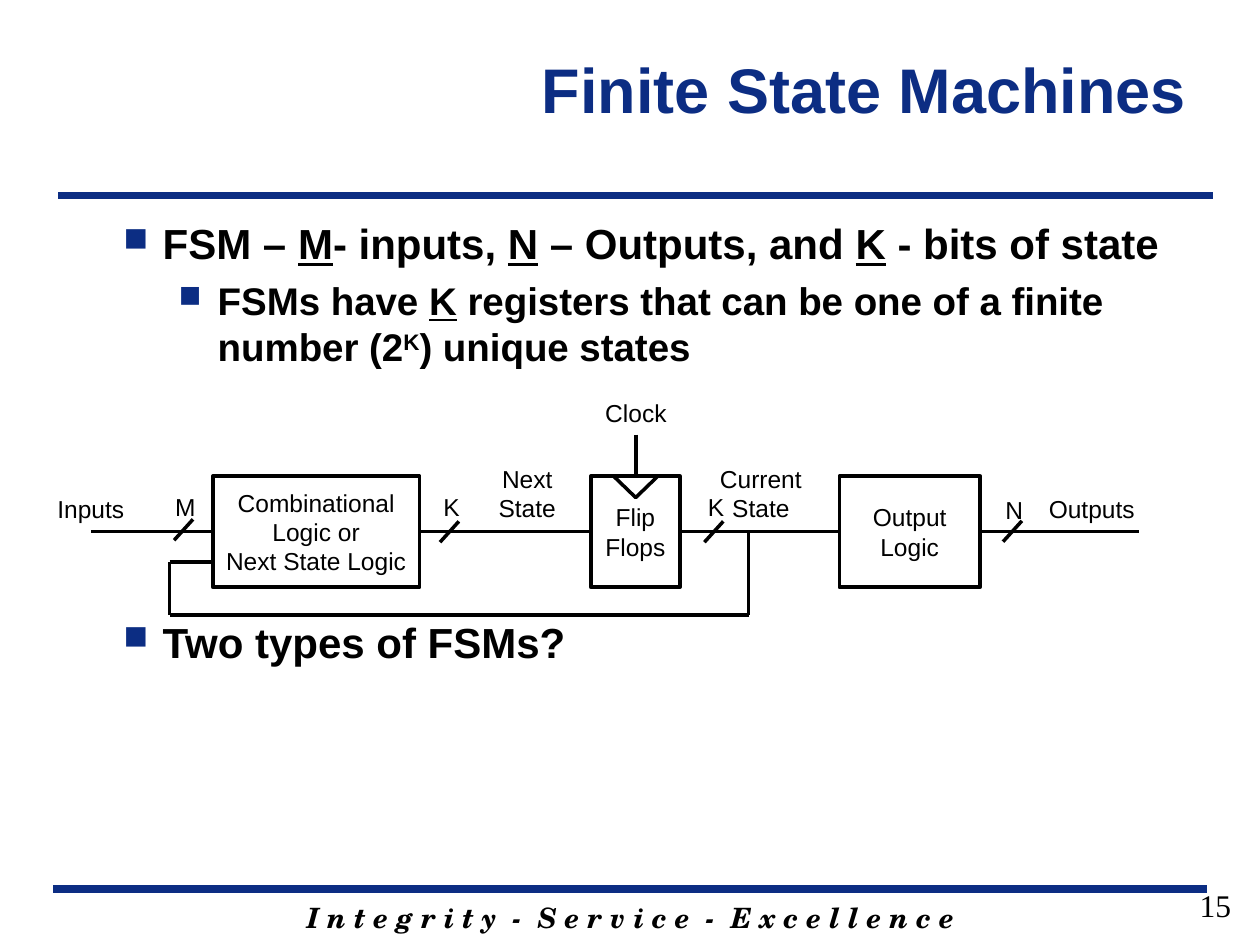
from dataclasses import dataclass
from itertools import pairwise

from lxml.etree import SubElement
from pptx import Presentation
from pptx.dml.color import RGBColor
from pptx.enum.shapes import MSO_CONNECTOR, MSO_SHAPE
from pptx.enum.text import MSO_ANCHOR, PP_ALIGN
from pptx.oxml.ns import qn
from pptx.util import Cm, Pt


@dataclass(frozen=True)
class Theme:
    """Colours, fonts and sizes of the slide."""
    navy: RGBColor = RGBColor(0x0C, 0x2D, 0x83)
    black: RGBColor = RGBColor(0, 0, 0)
    font: str = "Arial"
    motto_font: str = "TeX Gyre Schola"
    number_font: str = "Times New Roman"
    title_size: int = 36
    body_size: int = 24
    sub_size: int = 22
    number_size: int = 18
    motto_size: int = 16
    label_size: int = 14
    rule_width: float = 4.5
    wire_width: float = 2


THEME = Theme()
BOX_TOP, BOX_HEIGHT = 9.6, 2.24
SIGNAL_Y = BOX_TOP + BOX_HEIGHT / 2


def style_font(font, size, color=THEME.black, name=THEME.font, bold=False, italic=False):
    """Set the look of one run."""
    font.size, font.name = Pt(size), name
    font.bold, font.italic = bold, italic
    font.color.rgb = color


def fill_text(shape, text, size, align=PP_ALIGN.CENTER, anchor=MSO_ANCHOR.TOP,
              margin=0.25, **look):
    """Put uniformly styled text into a shape."""
    frame = shape.text_frame
    frame.word_wrap = True
    frame.vertical_anchor = anchor
    frame.margin_left = frame.margin_right = Cm(margin)
    frame.text = text
    for paragraph in frame.paragraphs:
        paragraph.alignment = align
        for run in paragraph.runs:
            style_font(run.font, size, **look)


def add_text(slide, left, top, width, height, text, size, **options):
    """Add a text box."""
    shape = slide.shapes.add_textbox(Cm(left), Cm(top), Cm(width), Cm(height))
    fill_text(shape, text, size, **options)


def add_line(slide, start, end, color=THEME.black, width=THEME.wire_width):
    """Add a straight line without shadow."""
    line = slide.shapes.add_connector(MSO_CONNECTOR.STRAIGHT, *map(Cm, start + end))
    line.line.color.rgb = color
    line.line.width = Pt(width)
    SubElement(line._element.spPr, qn("a:effectLst"))


def add_outline(slide, kind, left, top, width, height):
    """Add an unfilled black outline."""
    shape = slide.shapes.add_shape(kind, Cm(left), Cm(top), Cm(width), Cm(height))
    shape.shadow.inherit = False
    shape.fill.background()
    shape.line.color.rgb = THEME.black
    shape.line.width = Pt(THEME.wire_width)
    return shape


def set_bullet(paragraph, indent, hanging=0.79):
    """Give a paragraph a square navy bullet."""
    properties = paragraph._p.get_or_add_pPr()
    properties.set("marL", str(Cm(indent)))
    properties.set("indent", str(-Cm(hanging)))
    color = SubElement(properties, qn("a:buClr"))
    SubElement(color, qn("a:srgbClr"), val=str(THEME.navy))
    SubElement(properties, qn("a:buSzPct"), val="80000")
    SubElement(properties, qn("a:buChar"), char="\u25a0")


def add_bullets(slide):
    """Add the bulleted body; each run is marked plain, under or super."""
    items = [
        (0.79, THEME.body_size, 5,
         [("FSM – ", ""), ("M", "under"), ("- inputs, ", ""), ("N", "under"),
          (" – Outputs, and ", ""), ("K", "under"), (" - bits of state", "")]),
        (1.9, THEME.sub_size, 5,
         [("FSMs have ", ""), ("K", "under"),
          (" registers that can be one of a finite number (2", ""),
          ("K", "super"), (") unique states", "")]),
        (0.79, THEME.body_size, 141, [("Two types of FSMs?", "")]),
    ]
    body = slide.shapes.add_textbox(Cm(2.24), Cm(4.27), Cm(22.58), Cm(12.01))
    frame = body.text_frame
    frame.word_wrap = True
    for index, (indent, size, space, parts) in enumerate(items):
        paragraph = frame.add_paragraph() if index else frame.paragraphs[0]
        paragraph.level = int(size == THEME.sub_size)
        paragraph.space_before = Pt(space)
        set_bullet(paragraph, indent)
        for text, mark in parts:
            run = paragraph.add_run()
            run.text = text
            style_font(run.font, size, bold=True)
            if mark == "under":
                run.font.underline = True
            elif mark == "super":
                run.font._element.set("baseline", "30000")


def add_frame(slide):
    """Add title, rules, motto and page number."""
    for start, end in [((1.07, 17.93), (24.33, 17.93)), ((1.17, 3.94), (24.46, 3.94))]:
        add_line(slide, start, end, THEME.navy, THEME.rule_width)
    motto = "  -  ".join(" ".join(word) for word in ("Integrity", "Service", "Excellence"))
    add_text(slide, 3.61, 18.03, 18.21, 0.94, motto, THEME.motto_size,
             name=THEME.motto_font, bold=True, italic=True)
    add_text(slide, 5.31, 0.2, 18.85, 3.15, "Finite State Machines", THEME.title_size,
             align=PP_ALIGN.RIGHT, anchor=MSO_ANCHOR.MIDDLE, color=THEME.navy, bold=True)
    add_text(slide, 19.15, 17.73, 5.92, 1.32, "15", THEME.number_size,
             align=PP_ALIGN.RIGHT, name=THEME.number_font)


def add_diagram(slide):
    """Add the state machine block diagram."""
    blocks = [(4.29, 4.17, "Combinational Logic or\nNext State Logic"),
              (11.91, 1.8, "Flip Flops"), (16.92, 2.84, "Output Logic")]
    for left, width, text in blocks:
        block = add_outline(slide, MSO_SHAPE.RECTANGLE, left, BOX_TOP, width, BOX_HEIGHT)
        fill_text(block, text, THEME.label_size, anchor=MSO_ANCHOR.MIDDLE, margin=0.2)

    clock_mark = add_outline(slide, MSO_SHAPE.ISOSCELES_TRIANGLE, 12.37, BOX_TOP, 0.89, 0.43)
    clock_mark.rotation = 180
    add_line(slide, (12.82, 8.76), (12.82, BOX_TOP))

    starts = [1.83] + [left + width for left, width, _ in blocks]
    ends = [left for left, _, _ in blocks] + [22.96]
    for start, end in zip(starts, ends):
        add_line(slide, (start, SIGNAL_Y), (end, SIGNAL_Y))

    feedback = [(15.09, SIGNAL_Y), (15.09, 12.4), (3.42, 12.4), (3.42, 11.33), (4.29, 11.33)]
    for start, end in pairwise(feedback):
        add_line(slide, start, end)

    for x, y in [(3.7, 10.68), (9.06, 10.72), (14.39, 10.72), (20.41, 10.71)]:
        add_line(slide, (x + 0.19, y - 0.21), (x - 0.19, y + 0.21))

    labels = [(0.74, 9.83, 2.18, "Inputs"), (20.78, 9.83, 2.46, "Outputs"),
              (14.22, 9.22, 2.24, "Current\nState"), (9.4, 9.22, 2.46, "Next\nState"),
              (11.79, 7.9, 2.06, "Clock"), (3.28, 9.8, 0.76, "M"), (8.69, 9.8, 0.76, "K"),
              (14.02, 9.8, 0.76, "K"), (20.02, 9.86, 0.76, "N")]
    for left, top, width, text in labels:
        height = 1.45 if "\n" in text else 0.86
        add_text(slide, left, top, width, height, text, THEME.label_size)


def main():
    """Build and save the slide."""
    presentation = Presentation()
    presentation.slide_width, presentation.slide_height = Cm(25.4), Cm(19.05)
    slide = presentation.slides.add_slide(presentation.slide_layouts[6])
    add_frame(slide)
    add_bullets(slide)
    add_diagram(slide)
    presentation.save("out.pptx")


main()
